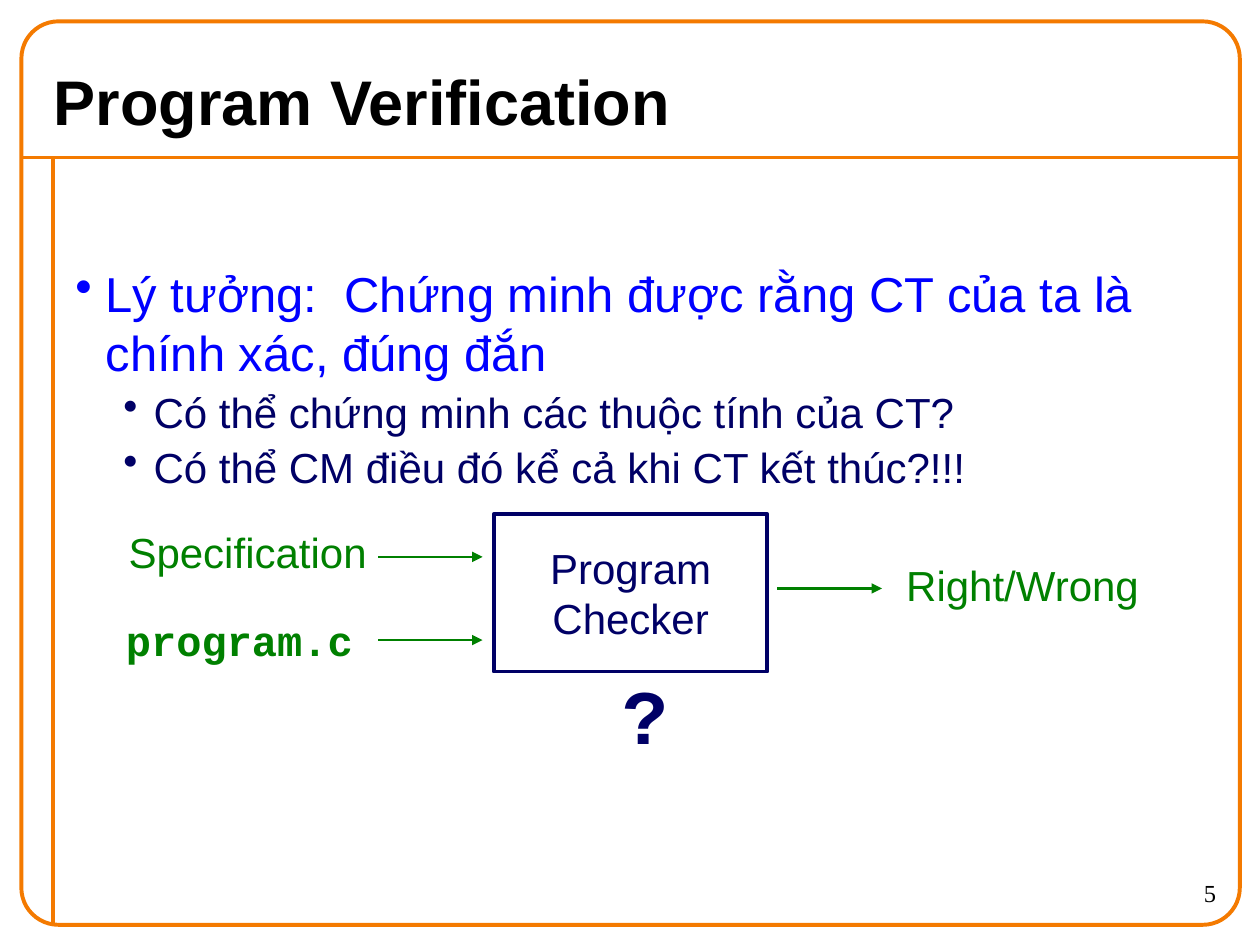
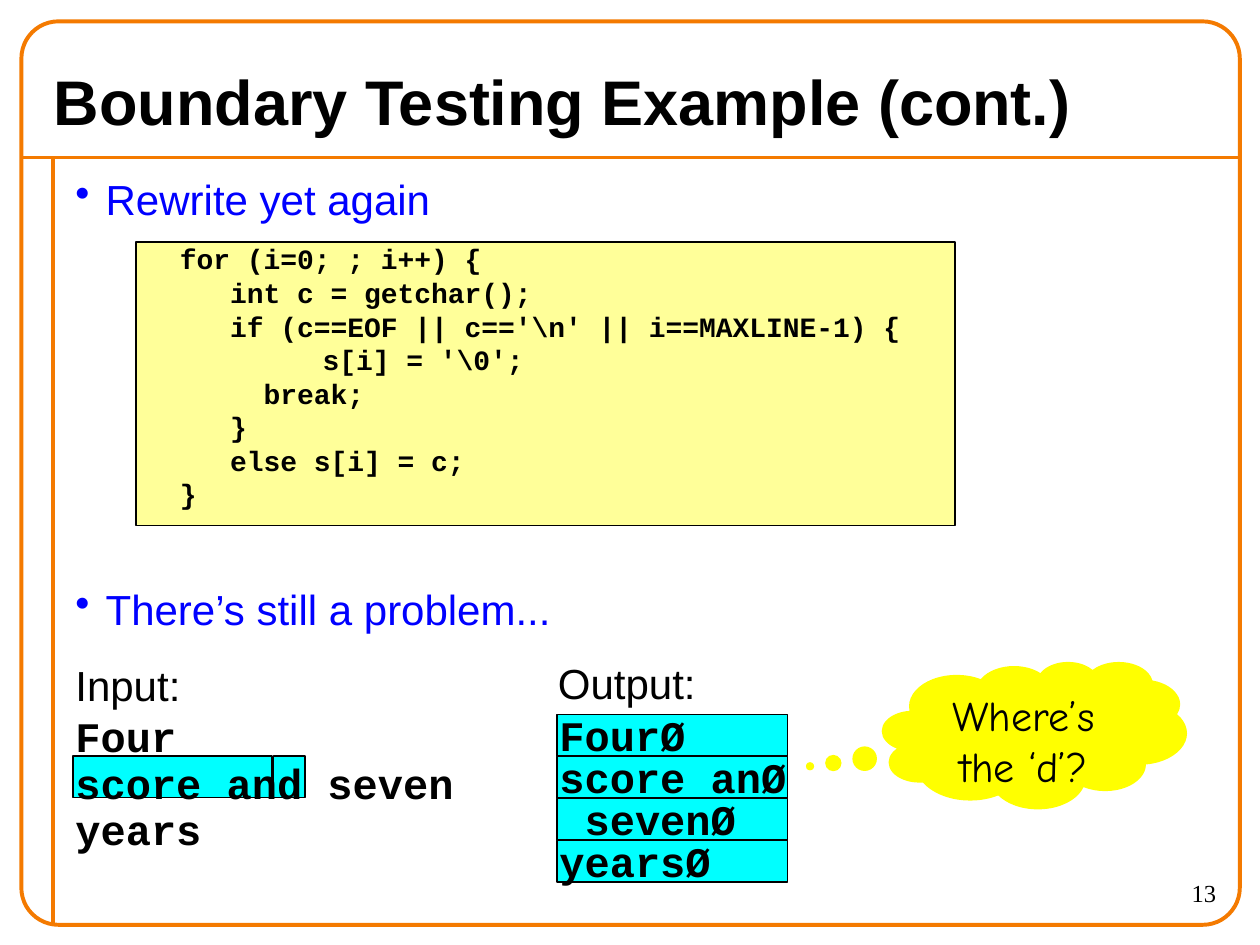
from dataclasses import dataclass

from lxml import etree
from pptx import Presentation
from pptx.dml.color import RGBColor
from pptx.enum.shapes import MSO_CONNECTOR, MSO_SHAPE
from pptx.enum.text import MSO_ANCHOR, PP_ALIGN
from pptx.oxml.ns import qn
from pptx.util import Inches, Pt

STRAIGHT = MSO_CONNECTOR.STRAIGHT
RECTANGLE = MSO_SHAPE.RECTANGLE
ROUNDED = MSO_SHAPE.ROUNDED_RECTANGLE
CLOUD = MSO_SHAPE.CLOUD_CALLOUT
LEFT, CENTER, RIGHT = PP_ALIGN.LEFT, PP_ALIGN.CENTER, PP_ALIGN.RIGHT
TOP, MIDDLE = MSO_ANCHOR.TOP, MSO_ANCHOR.MIDDLE

COLORS = {
    "frame": "F47A00",
    "black": "000000",
    "blue": "0000FF",
    "navy": "000066",
    "green": "008000",
    "cyan": "00FFFF",
    "yellow": "FFFF00",
    "code": "FFFF99",
}
SANS, MONO, SERIF, COMIC = "Arial", "Courier New", "Times New Roman", "Comic Neue"


@dataclass(frozen=True)
class Style:
    size: float
    color: str = "black"
    font: str = SANS
    bold: bool = False
    align: PP_ALIGN = LEFT
    bullet: bool = False
    margin: float = 0
    hanging: float = 0
    before: float = 0
    spacing: float = 1


@dataclass(frozen=True)
class Line:
    text: str
    style: Style


@dataclass(frozen=True)
class Area:
    left: float
    top: float
    width: float
    height: float

    def inches(self) -> list:
        return [Inches(v) for v in (self.left, self.top, self.width, self.height)]


@dataclass(frozen=True)
class Arrow:
    left: float
    y: float
    length: float = 0.83


TITLE = Style(36, bold=True)
PAGE_NUMBER = Style(14, font=SERIF, align=RIGHT)
IDEAL = Style(28, "blue", bullet=True, margin=0.24, hanging=0.24)
QUESTION = Style(24, "navy", bullet=True, margin=0.62, hanging=0.24, before=3)
TOPIC = Style(24, "blue", bullet=True, margin=0.24, hanging=0.24)
CHECKER = Style(24, "navy", align=CENTER)
DOUBT = Style(44, "navy", MONO, True, CENTER)
FLOW_LABEL = Style(24, "green", align=CENTER)
FLOW_FILE = Style(24, "green", MONO, True, CENTER)
CODE = Style(16, font=MONO, bold=True, margin=0.25)
CAPTION = Style(24, before=15)
INPUT = Style(24, font=MONO, bold=True, before=15, spacing=0.4)
OUTPUT = Style(24, font=MONO, bold=True)
THOUGHT = Style(24, font=COMIC, align=CENTER)

CODE_LINES = [
    "for (i=0; ; i++) {",
    "   int c = getchar();",
    "   if (c=='EOF' || c=='\\n' || i==MAXLINE-1) {".replace("'EOF'", "EOF"),
    "\t\t s[i] = '\\0';",
    "     break;",
    "   }",
    "   else s[i] = c;",
    "}",
]
OUTPUT_LINES = ["FourØ", "score anØ", " sevenØ", "yearsØ"]


def rgb(name: str) -> RGBColor:
    return RGBColor.from_string(COLORS[name])


def write(frame, lines: list[Line], anchor=TOP, wrap: bool = True,
          left: float = 0.1, top: float = 0.05) -> None:
    frame.word_wrap = wrap
    frame.vertical_anchor = anchor
    frame.margin_left, frame.margin_right = Inches(left), Inches(0.1)
    frame.margin_top, frame.margin_bottom = Inches(top), Inches(0.05)
    for index, line in enumerate(lines):
        style = line.style
        paragraph = frame.add_paragraph() if index else frame.paragraphs[0]
        paragraph.text = line.text
        paragraph.alignment = style.align
        paragraph.line_spacing = style.spacing
        if index:
            paragraph.space_before = Pt(style.before)
        properties = paragraph._p.get_or_add_pPr()
        properties.set("marL", str(Inches(style.margin)))
        properties.set("indent", str(-Inches(style.hanging)))
        if style.bullet:
            etree.SubElement(properties, qn("a:buChar")).set("char", "•")
        font = paragraph.font
        font.size, font.name, font.bold = Pt(style.size), style.font, style.bold
        font.color.rgb = rgb(style.color)


def add_text(slide, area: Area, lines: list[Line], anchor=TOP,
             wrap: bool = True) -> None:
    write(slide.shapes.add_textbox(*area.inches()).text_frame, lines, anchor, wrap)


def add_box(slide, kind, area: Area, fill: str = "", line: str = "",
            weight: float = 0.75):
    box = slide.shapes.add_shape(kind, *area.inches())
    box.shadow.inherit = False
    if fill:
        box.fill.solid()
        box.fill.fore_color.rgb = rgb(fill)
    else:
        box.fill.background()
    if line:
        box.line.color.rgb = rgb(line)
        box.line.width = Pt(weight)
    else:
        box.line.fill.background()
    return box


def add_line(slide, start: tuple[float, float], end: tuple[float, float],
             color: str, weight: float):
    ends = [Inches(v) for v in (*start, *end)]
    connector = slide.shapes.add_connector(STRAIGHT, *ends)
    connector.line.color.rgb = rgb(color)
    connector.line.width = Pt(weight)
    etree.SubElement(connector._element.spPr, qn("a:effectLst"))
    return connector


def add_arrow(slide, arrow: Arrow) -> None:
    connector = add_line(slide, (arrow.left, arrow.y),
                         (arrow.left + arrow.length, arrow.y), "green", 1.5)
    outline = connector.line._get_or_add_ln()
    etree.SubElement(outline, qn("a:tailEnd")).set("type", "triangle")


def add_page(deck, title: str, number: int):
    slide = deck.slides.add_slide(deck.slide_layouts[6])
    add_line(slide, (0.17, 1.25), (9.83, 1.25), "frame", 2.25)
    add_line(slide, (0.42, 1.25), (0.42, 7.33), "frame", 2.25)
    frame = add_box(slide, ROUNDED, Area(0.17, 0.17, 9.67, 7.17),
                    line="frame", weight=2.25)
    frame.adjustments[0] = 0.041
    add_text(slide, Area(0.33, 0.42, 9.33, 0.75), [Line(title, TITLE)], MIDDLE)
    add_text(slide, Area(8.75, 6.92, 1, 0.42), [Line(str(number), PAGE_NUMBER)])
    return slide


def build_verification(deck) -> None:
    slide = add_page(deck, "Program Verification", 5)
    add_text(slide, Area(0.5, 2.04, 9.25, 2), [
        Line("Lý tưởng:  Chứng minh được rằng CT của ta là chính xác, đúng đắn", IDEAL),
        Line("Có thể chứng minh các thuộc tính của CT?", QUESTION),
        Line("Có thể CM điều đó kể cả khi CT kết thúc?!!!", QUESTION),
    ])
    checker = add_box(slide, RECTANGLE, Area(3.92, 4.08, 2.17, 1.25),
                      line="navy", weight=2.25)
    write(checker.text_frame, [Line("Program\vChecker", CHECKER)], MIDDLE, False)
    for area, label in (
        (Area(0.92, 4.13, 2.09, 0.5), Line("Specification", FLOW_LABEL)),
        (Area(0.9, 4.83, 2, 0.5), Line("program.c", FLOW_FILE)),
        (Area(7.09, 4.39, 2.05, 0.5), Line("Right/Wrong", FLOW_LABEL)),
        (Area(4.84, 5.25, 0.56, 0.84), Line("?", DOUBT)),
    ):
        add_text(slide, area, [label], wrap=False)
    for arrow in (Arrow(3, 4.42), Arrow(3, 5.08), Arrow(6.17, 4.67)):
        add_arrow(slide, arrow)


def build_boundary(deck) -> None:
    slide = add_page(deck, "Boundary Testing Example (cont.)", 13)
    add_text(slide, Area(0.5, 1.33, 9.25, 0.5), [Line("Rewrite yet again", TOPIC)])
    listing = add_box(slide, RECTANGLE, Area(1.08, 1.92, 6.5, 2.25),
                      "code", "black", 1)
    write(listing.text_frame, [Line(text, CODE) for text in CODE_LINES], top=0)

    for left, width in ((0.58, 1.58), (2.17, 0.25)):
        add_box(slide, RECTANGLE, Area(left, 6, width, 0.33), "cyan", "black")
    add_text(slide, Area(0.5, 4.58, 4.08, 2.5), [
        Line("There’s still a problem...", TOPIC),
        Line("Input:", CAPTION),
        *[Line(text, INPUT) for text in ("Four", "score and seven", "years")],
    ])

    add_text(slide, Area(4.33, 5.17, 2, 0.5), [Line("Output:", CAPTION)])
    for row, text in enumerate(OUTPUT_LINES):
        cell = add_box(slide, RECTANGLE, Area(4.42, 5.67 + row / 3, 1.83, 0.33),
                       "cyan", "black")
        write(cell.text_frame, [Line(text, OUTPUT)], MIDDLE, False, left=0.02)

    thought = add_box(slide, CLOUD, Area(7, 5.25, 2.42, 1.17), "yellow")
    thought.adjustments[0], thought.adjustments[1] = -0.736, 0.211
    write(thought.text_frame, [Line("Where’s the ‘d’?", THOUGHT)])


def main() -> None:
    deck = Presentation()
    deck.slide_width, deck.slide_height = Inches(10), Inches(7.5)
    build_verification(deck)
    build_boundary(deck)
    deck.save("out.pptx")


if __name__ == "__main__":
    main()
